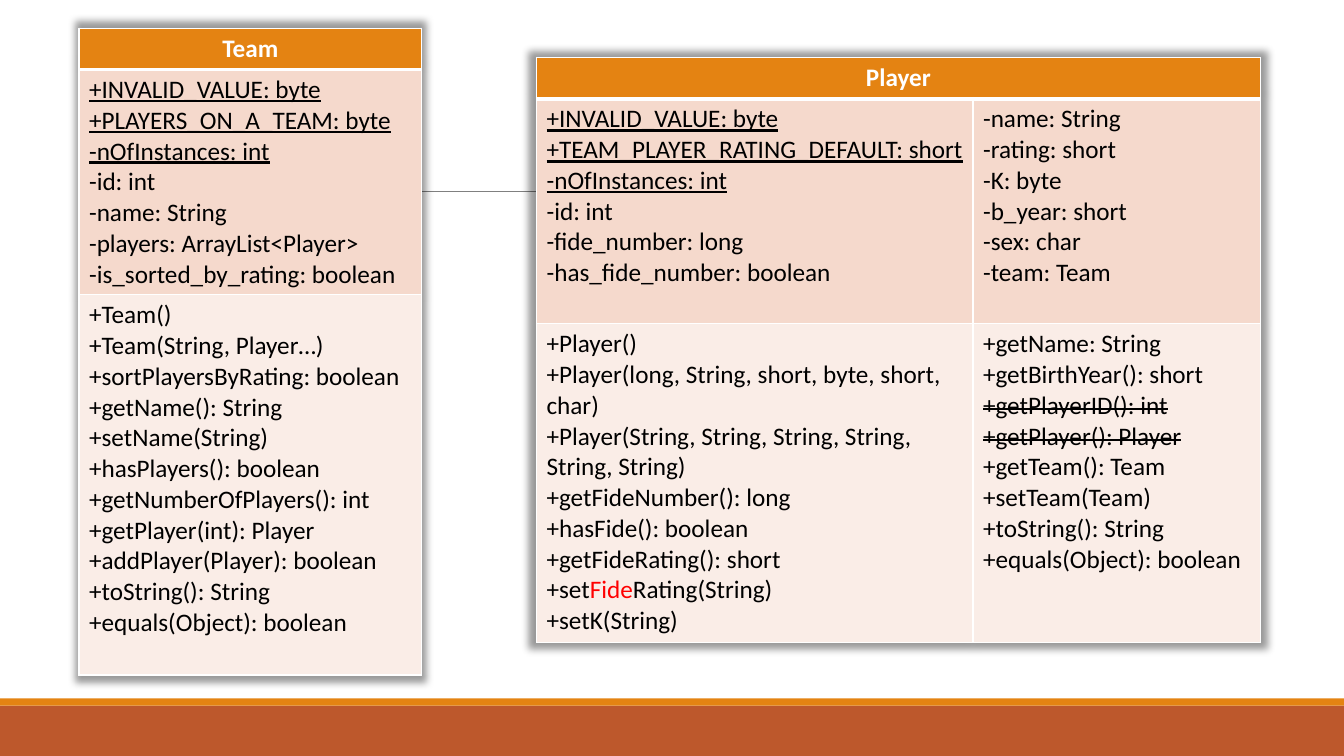
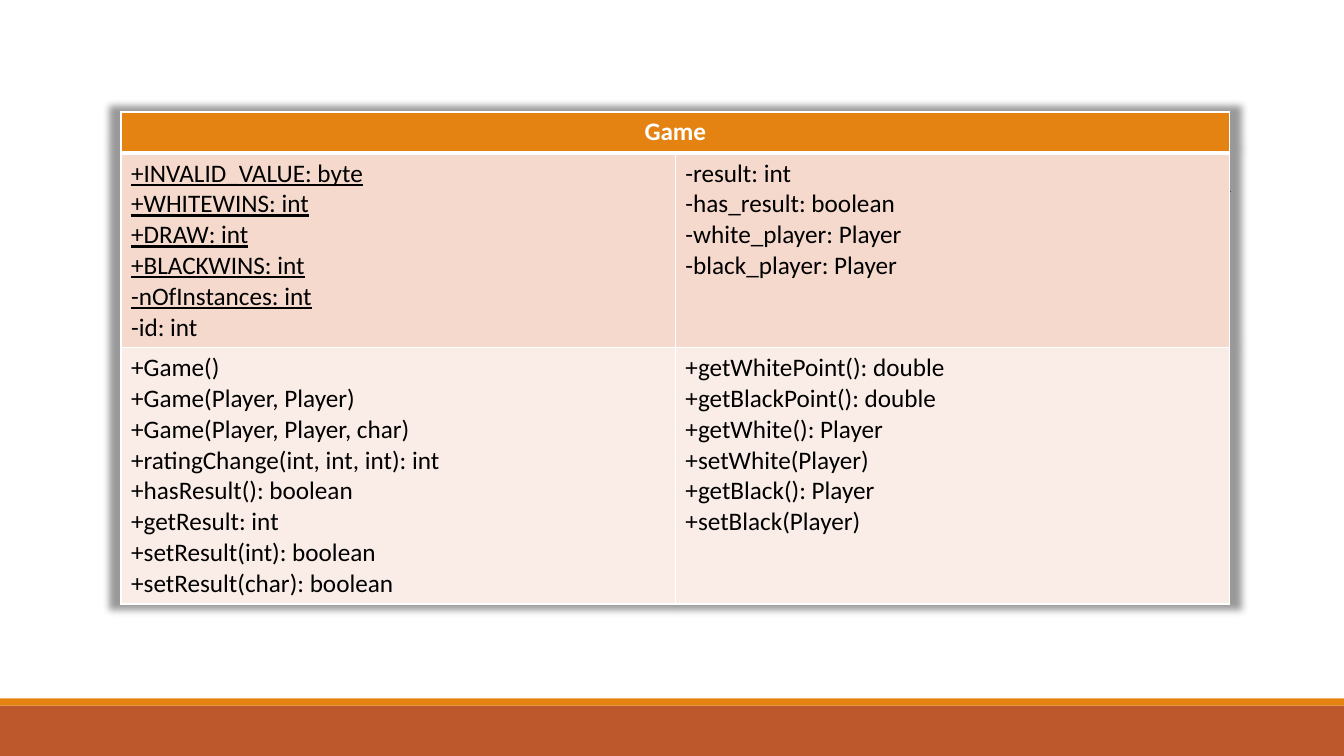
from dataclasses import dataclass

from lxml.etree import SubElement
from pptx import Presentation
from pptx.dml.color import RGBColor
from pptx.enum.shapes import MSO_CONNECTOR, MSO_SHAPE
from pptx.enum.text import PP_ALIGN
from pptx.oxml import parse_xml
from pptx.oxml.ns import qn
from pptx.slide import Slide, SlideLayout
from pptx.table import _Cell
from pptx.text.text import _Paragraph
from pptx.util import Cm, Pt

FONT = "Calibri"
ORANGE = "E48312"
RUST = "BD582C"
GREY = "808080"
WHITE = "FFFFFF"
BLACK = "000000"
RED = "FF0000"
SECTION_FILLS = ("F5D9CC", "FAEDE7")
PAGE_WIDTH = 33.87
PAGE_HEIGHT = 19.05
HEADER_HEIGHT = 1.04
THIN, THICK = 1, 3

TABLE_GLOW = (
    '<a:effectLst xmlns:a="http://schemas.openxmlformats.org/drawingml/2006/main">'
    '<a:outerShdw blurRad="63500" sx="102000" sy="102000" algn="ctr" rotWithShape="0">'
    '<a:prstClr val="black"><a:alpha val="40000"/></a:prstClr>'
    "</a:outerShdw></a:effectLst>"
)


@dataclass(frozen=True)
class Band:
    top: float
    height: float
    color: str


@dataclass(frozen=True)
class Span:
    text: str
    color: str = BLACK
    underline: bool = False
    strike: bool = False


Line = tuple[Span, ...]
Members = list[Line]


@dataclass(frozen=True)
class ClassBox:
    name: str
    left: float
    top: float
    column_widths: tuple[float, ...]
    section_heights: tuple[float, float]
    fields: tuple[Members, ...]
    methods: tuple[Members, ...]


def members(*texts: str, underline: bool = False, strike: bool = False) -> Members:
    return [(Span(text, underline=underline, strike=strike),) for text in texts]


BANDS = (
    Band(17.78, PAGE_HEIGHT - 17.78, RUST),
    Band(17.6, 0.18, ORANGE),
)

TEAM = ClassBox(
    "Team", 1.99, 0.71, (8.64,), (5.67, 9.58),
    fields=(
        members(
            "+INVALID_VALUE: byte",
            "+PLAYERS_ON_A_TEAM: byte",
            "-nOfInstances: int",
            underline=True,
        )
        + members(
            "-id: int",
            "-name: String",
            "-players: ArrayList<Player>",
            "-is_sorted_by_rating: boolean",
        ),
    ),
    methods=(
        members(
            "+Team()",
            "+Team(String, Player…)",
            "+sortPlayersByRating: boolean",
            "+getName(): String",
            "+setName(String)",
            "+hasPlayers(): boolean",
            "+getNumberOfPlayers(): int",
            "+getPlayer(int): Player",
            "+addPlayer(Player): boolean",
            "+toString(): String",
            "+equals(Object): boolean",
        ),
    ),
)

PLAYER = ClassBox(
    "Player", 13.52, 1.45, (11, 7.24), (5.67, 8.03),
    fields=(
        members(
            "+INVALID_VALUE: byte",
            "+TEAM_PLAYER_RATING_DEFAULT: short",
            "-nOfInstances: int",
            underline=True,
        )
        + members("-id: int", "-fide_number: long", "-has_fide_number: boolean"),
        members(
            "-name: String",
            "-rating: short",
            "-K: byte",
            "-b_year: short",
            "-sex: char",
            "-team: Team",
        ),
    ),
    methods=(
        members(
            "+Player()",
            "+Player(long, String, short, byte, short, char)",
            "+Player(String, String, String, String, String, String)",
            "+getFideNumber(): long",
            "+hasFide(): boolean",
            "+getFideRating(): short",
        )
        + [(Span("+set"), Span("Fide", color=RED), Span("Rating(String)"))]
        + members("+setK(String)"),
        members("+getName: String", "+getBirthYear(): short")
        + members("+getPlayerID(): int", "+getPlayer(): Player", strike=True)
        + members(
            "+getTeam(): Team",
            "+setTeam(Team)",
            "+toString(): String",
            "+equals(Object): boolean",
        ),
    ),
)

GAME = ClassBox(
    "Game", 3.05, 2.82, (13.97, 13.97), (4.9, 6.45),
    fields=(
        members(
            "+INVALID_VALUE: byte",
            "+WHITEWINS: int",
            "+DRAW: int",
            "+BLACKWINS: int",
            "-nOfInstances: int",
            underline=True,
        )
        + members("-id: int"),
        members(
            "-result: int",
            "-has_result: boolean",
            "-white_player: Player",
            "-black_player: Player",
        ),
    ),
    methods=(
        members(
            "+Game()",
            "+Game(Player, Player)",
            "+Game(Player, Player, char)",
            "+ratingChange(int, int, int): int",
            "+hasResult(): boolean",
            "+getResult: int",
            "+setResult(int): boolean",
            "+setResult(char): boolean",
        ),
        members(
            "+getWhitePoint(): double",
            "+getBlackPoint(): double",
            "+getWhite(): Player",
            "+setWhite(Player)",
            "+getBlack(): Player",
            "+setBlack(Player)",
        ),
    ),
)

DIAGRAMS = ((TEAM, PLAYER), (GAME,))


def rgb(color: str) -> RGBColor:
    return RGBColor.from_string(color)


def write(
    paragraph: _Paragraph,
    text: str,
    *,
    color: str = BLACK,
    bold: bool = False,
    underline: bool = False,
    strike: bool = False,
) -> None:
    run = paragraph.add_run()
    run.text = text
    run.font.name = FONT
    run.font.size = Pt(18)
    run.font.bold = bold
    run.font.underline = underline
    run.font.color.rgb = rgb(color)
    if strike:
        run.font._element.set("strike", "sngStrike")


def style_cell(cell: _Cell, fill: str, top: int, bottom: int) -> None:
    properties = cell._tc.get_or_add_tcPr()
    for side, width in (("L", THIN), ("R", THIN), ("T", top), ("B", bottom)):
        border = SubElement(properties, qn(f"a:ln{side}"), w=str(Pt(width)))
        border_fill = SubElement(border, qn("a:solidFill"))
        SubElement(border_fill, qn("a:srgbClr"), val=WHITE)
    cell.fill.solid()
    cell.fill.fore_color.rgb = rgb(fill)


def write_members(cell: _Cell, lines: Members) -> None:
    frame = cell.text_frame
    for index, line in enumerate(lines):
        paragraph = frame.add_paragraph() if index else frame.paragraphs[0]
        for span in line:
            write(
                paragraph,
                span.text,
                color=span.color,
                underline=span.underline,
                strike=span.strike,
            )


def add_class_box(slide: Slide, box: ClassBox) -> None:
    heights = (HEADER_HEIGHT, *box.section_heights)
    table = slide.shapes.add_table(
        len(heights), len(box.column_widths), Cm(box.left), Cm(box.top),
        Cm(sum(box.column_widths)), Cm(sum(heights)),
    ).table
    table.horz_banding = False
    table._tbl.tblPr.insert(0, parse_xml(TABLE_GLOW))
    for column, width in zip(table.columns, box.column_widths):
        column.width = Cm(width)
    for row, height in zip(table.rows, heights):
        row.height = Cm(height)

    for cell in table.rows[0].cells:
        style_cell(cell, ORANGE, THIN, THICK)
    header = table.cell(0, 0)
    if len(box.column_widths) > 1:
        header.merge(table.cell(0, len(box.column_widths) - 1))
    title = header.text_frame.paragraphs[0]
    title.alignment = PP_ALIGN.CENTER
    write(title, box.name, color=WHITE, bold=True)

    sections = zip((box.fields, box.methods), SECTION_FILLS, (THICK, THIN))
    for row_index, (columns, fill, top) in enumerate(sections, start=1):
        for column_index, lines in enumerate(columns):
            cell = table.cell(row_index, column_index)
            style_cell(cell, fill, top, THIN)
            write_members(cell, lines)


def decorate_layout(layout: SlideLayout, slide: Slide) -> None:
    for band in BANDS:
        bar = slide.shapes.add_shape(
            MSO_SHAPE.RECTANGLE, 0, Cm(band.top), Cm(PAGE_WIDTH), Cm(band.height)
        )
        bar.shadow.inherit = False
        bar.fill.solid()
        bar.fill.fore_color.rgb = rgb(band.color)
        bar.line.fill.background()
        layout.shapes.element.append(bar.element)
    rule = slide.shapes.add_connector(
        MSO_CONNECTOR.STRAIGHT, Cm(3.33), Cm(4.83), Cm(31.01), Cm(4.83)
    )
    rule.line.color.rgb = rgb(GREY)
    rule.line.width = Pt(0.5)
    SubElement(rule.element.spPr, qn("a:effectLst"))
    layout.shapes.element.append(rule.element)


def main() -> None:
    deck = Presentation()
    deck.slide_width = Cm(PAGE_WIDTH)
    deck.slide_height = Cm(PAGE_HEIGHT)
    blank = deck.slide_layouts[6]
    slides = [deck.slides.add_slide(blank) for _ in DIAGRAMS]
    decorate_layout(blank, slides[0])
    for slide, boxes in zip(slides, DIAGRAMS):
        for box in boxes:
            add_class_box(slide, box)
    deck.save("out.pptx")


if __name__ == "__main__":
    main()
